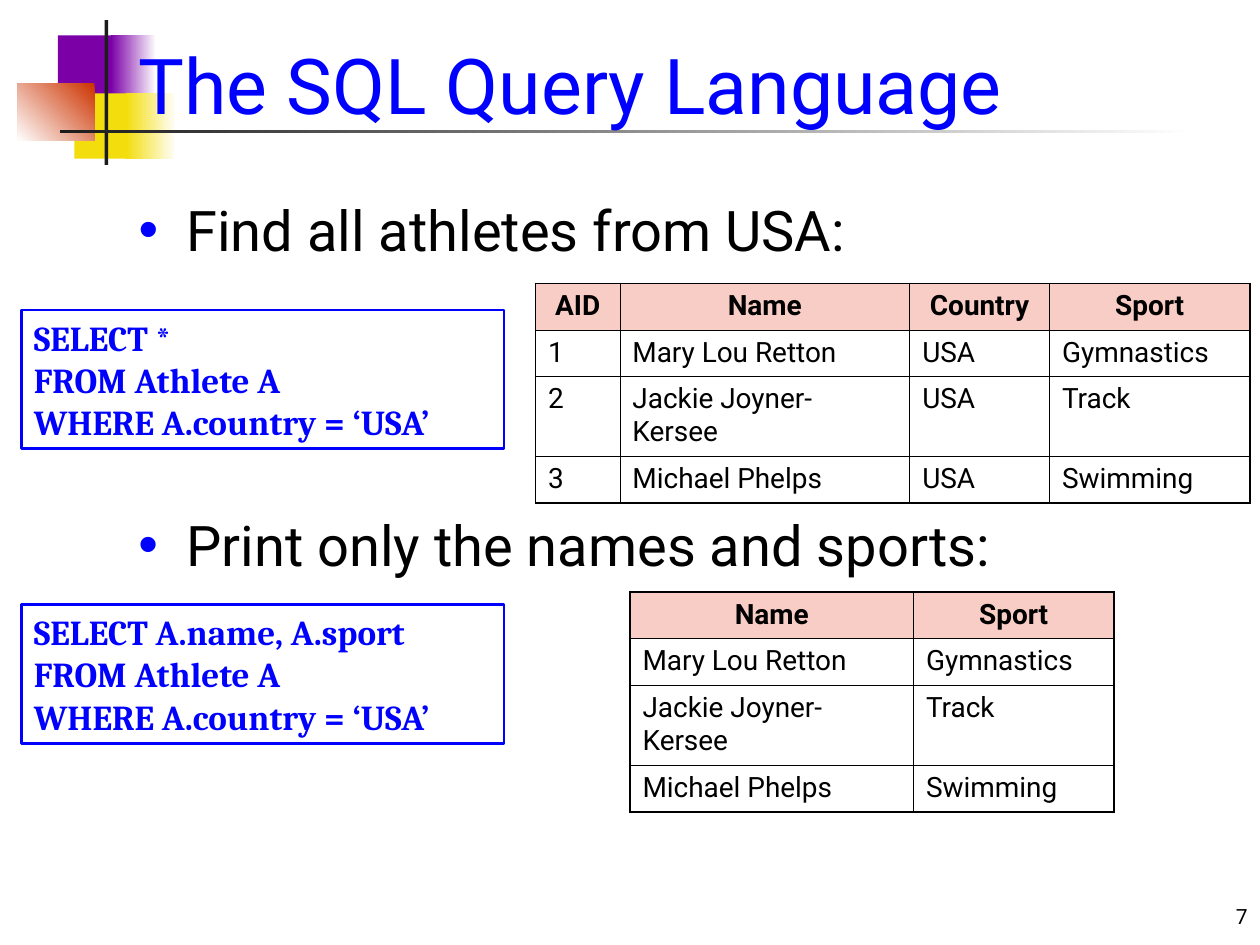
from lxml import etree
from pptx import Presentation
from pptx.dml.color import RGBColor
from pptx.enum.shapes import MSO_SHAPE
from pptx.enum.text import MSO_ANCHOR, MSO_AUTO_SIZE, PP_ALIGN
from pptx.oxml.ns import qn
from pptx.util import Inches, Pt

RECTANGLE = MSO_SHAPE.RECTANGLE
TOP, BOTTOM = MSO_ANCHOR.TOP, MSO_ANCHOR.BOTTOM
LEFT, CENTER, RIGHT = PP_ALIGN.LEFT, PP_ALIGN.CENTER, PP_ALIGN.RIGHT
NO_FIT, GROW = MSO_AUTO_SIZE.NONE, MSO_AUTO_SIZE.SHAPE_TO_FIT_TEXT

BLUE, BLACK, WHITE, PINK = "0000FF", "000000", "FFFFFF", "F8CDC6"
PURPLE, YELLOW, RED, CHARCOAL = "7B00A6", "F3DD0D", "CC3300", "1C1C1C"
SANS, SERIF = "Roboto", "Cambria"
ROW = 0.37
OUTER, INNER = 1.08, 0.45


def color(value):
    return RGBColor.from_string(value)


def inches(box):
    return [Inches(length) for length in box]


def place(shape, box):
    shape.left, shape.top, shape.width, shape.height = inches(box)


def add_run(paragraph, text, size, font_color=BLACK, name=SANS, bold=False):
    run = paragraph.add_run()
    run.text = text
    run.font.size, run.font.name, run.font.bold = Pt(size), name, bold
    run.font.color.rgb = color(font_color)


def prepare_frame(shape, anchor, auto_size=NO_FIT):
    frame = shape.text_frame
    frame.word_wrap = True
    frame.vertical_anchor, frame.auto_size = anchor, auto_size
    return frame


def add_block(slide, box, fill, end=None, angle=180):
    """Borderless rectangle, plain or fading from fill to end."""
    shape = slide.shapes.add_shape(RECTANGLE, *inches(box))
    shape.shadow.inherit = False
    shape.line.fill.background()
    if end is None:
        shape.fill.solid()
        shape.fill.fore_color.rgb = color(fill)
        return
    shape.fill.gradient()
    shape.fill.gradient_angle = angle
    for stop, stop_color in zip(shape.fill.gradient_stops, (fill, end)):
        stop.color.rgb = color(stop_color)


def add_corner_motif(slide, box):
    """Overlapping squares with crossed rules, offset from the box corner."""
    left, top, width, height = box
    blocks = [
        ((0.32, 0.12, 0.48, 0.52), PURPLE),
        ((0.74, 0.12, 0.36, 0.52), WHITE, PURPLE),
        ((0.45, 0.58, 0.46, 0.52), YELLOW),
        ((0.86, 0.58, 0.40, 0.52), WHITE, YELLOW),
        ((0, 0.50, 0.61, 0.46), RED, WHITE, 225),
        ((0.69, 0, 0.03, height), CHARCOAL),
        ((0.34, 0.87, width - 0.34, 0.03), WHITE, CHARCOAL),
    ]
    for (x, y, block_width, block_height), *style in blocks:
        add_block(slide, (left + x, top + y, block_width, block_height), *style)


def bring_to_front(shape):
    shape.element.getparent().append(shape.element)


def fill_title(title, box, text):
    place(title, box)
    paragraph = prepare_frame(title, BOTTOM).paragraphs[0]
    paragraph.alignment = LEFT
    add_run(paragraph, text, 44, BLUE)


def fill_bullet(shape, box, text):
    place(shape, box)
    paragraph = prepare_frame(shape, TOP).paragraphs[0]
    properties = paragraph._p.get_or_add_pPr()
    properties.set("marL", str(Inches(0.38)))
    properties.set("indent", str(-Inches(0.38)))
    bullet_color = etree.SubElement(properties, qn("a:buClr"))
    etree.SubElement(bullet_color, qn("a:srgbClr"), val=BLUE)
    etree.SubElement(properties, qn("a:buFont"), typeface="Arial")
    etree.SubElement(properties, qn("a:buChar"), char="•")
    paragraph.space_before = Pt(0)
    add_run(paragraph, text, 32)


def add_query(slide, box, lines):
    shape = slide.shapes.add_shape(RECTANGLE, *inches(box))
    shape.shadow.inherit = False
    shape.fill.background()
    shape.line.color.rgb, shape.line.width = color(BLUE), Pt(1.5)
    frame = prepare_frame(shape, TOP, GROW)
    for index, line in enumerate(lines):
        paragraph = frame.add_paragraph() if index else frame.paragraphs[0]
        paragraph.alignment = LEFT
        add_run(paragraph, line, 20, BLUE, SERIF, True)


def set_borders(cell, widths):
    properties = cell._tc.get_or_add_tcPr()
    for index, (side, width) in enumerate(zip("LRTB", widths)):
        line = etree.Element(qn(f"a:ln{side}"), w=str(Pt(width)))
        fill = etree.SubElement(line, qn("a:solidFill"))
        etree.SubElement(fill, qn("a:srgbClr"), val=BLACK)
        properties.insert(index, line)


def add_result_table(slide, left, top, columns, heights, records):
    box = (left, top, sum(columns), sum(heights))
    table = slide.shapes.add_table(
        len(records), len(columns), *inches(box)).table
    table.horz_banding = False
    for column, width in zip(table.columns, columns):
        column.width = Inches(width)
    for row, height in zip(table.rows, heights):
        row.height = Inches(height)
    last_row, last_column = len(records) - 1, len(columns) - 1
    for r, record in enumerate(records):
        for c, value in enumerate(record):
            cell = table.cell(r, c)
            header = r == 0
            if header:
                cell.fill.solid()
                cell.fill.fore_color.rgb = color(PINK)
            else:
                cell.fill.background()
            edges = (c == 0, c == last_column, header, r == last_row)
            set_borders(cell, [OUTER if edge else INNER for edge in edges])
            paragraph = cell.text_frame.paragraphs[0]
            paragraph.alignment = CENTER if header else LEFT
            add_run(paragraph, value, 16, bold=header)


def add_page_number(slide, box, number):
    shape = slide.shapes.add_textbox(*inches(box))
    paragraph = prepare_frame(shape, BOTTOM).paragraphs[0]
    paragraph.alignment = RIGHT
    add_run(paragraph, number, 12)


def main():
    presentation = Presentation()
    presentation.slide_width, presentation.slide_height = inches((10, 7.5))
    slide = presentation.slides.add_slide(presentation.slide_layouts[1])
    title, body = slide.shapes.title, slide.placeholders[1]

    # Background motif and page number, behind the text
    add_corner_motif(slide, (0.14, 0.16, 9.34, 1.15))
    add_page_number(slide, (7.92, 6.92, 2.08, 0.5), "7")
    bring_to_front(title)
    bring_to_front(body)

    # Title and the two tasks
    fill_title(title, (1, -0.17, 8.83, 1.25), "The SQL Query Language")
    fill_bullet(body, (1, 1.5, 8.58, 0.75), "Find all athletes from USA:")
    second_box = (1, 4, 8.58, 0.75)
    second_task = slide.shapes.add_textbox(*inches(second_box))
    fill_bullet(second_task, second_box, "Print only the names and sports:")

    # Queries, sharing their last two lines
    source = ["FROM Athlete A", "WHERE A.country = ‘USA’"]
    for top, selection in ((2.46, "SELECT *"), (4.8, "SELECT A.name, A.sport")):
        add_query(slide, (0.17, top, 3.83, 1.1), [selection] + source)

    # Query results: the second keeps only name and sport
    athletes = [
        ("AID", "Name", "Country", "Sport"),
        ("1", "Mary Lou Retton", "USA", "Gymnastics"),
        ("2", "Jackie Joyner-Kersee", "USA", "Track"),
        ("3", "Michael Phelps", "USA", "Swimming"),
    ]
    add_result_table(slide, 4.25, 2.25, (0.67, 2.3, 1.11, 1.59),
                     [ROW] * 4, athletes)
    add_result_table(slide, 5, 4.7, (2.25, 1.59), (ROW, ROW, 0.63, ROW),
                     [(name, sport) for _, name, _, sport in athletes])

    presentation.save("out.pptx")


if __name__ == "__main__":
    main()
